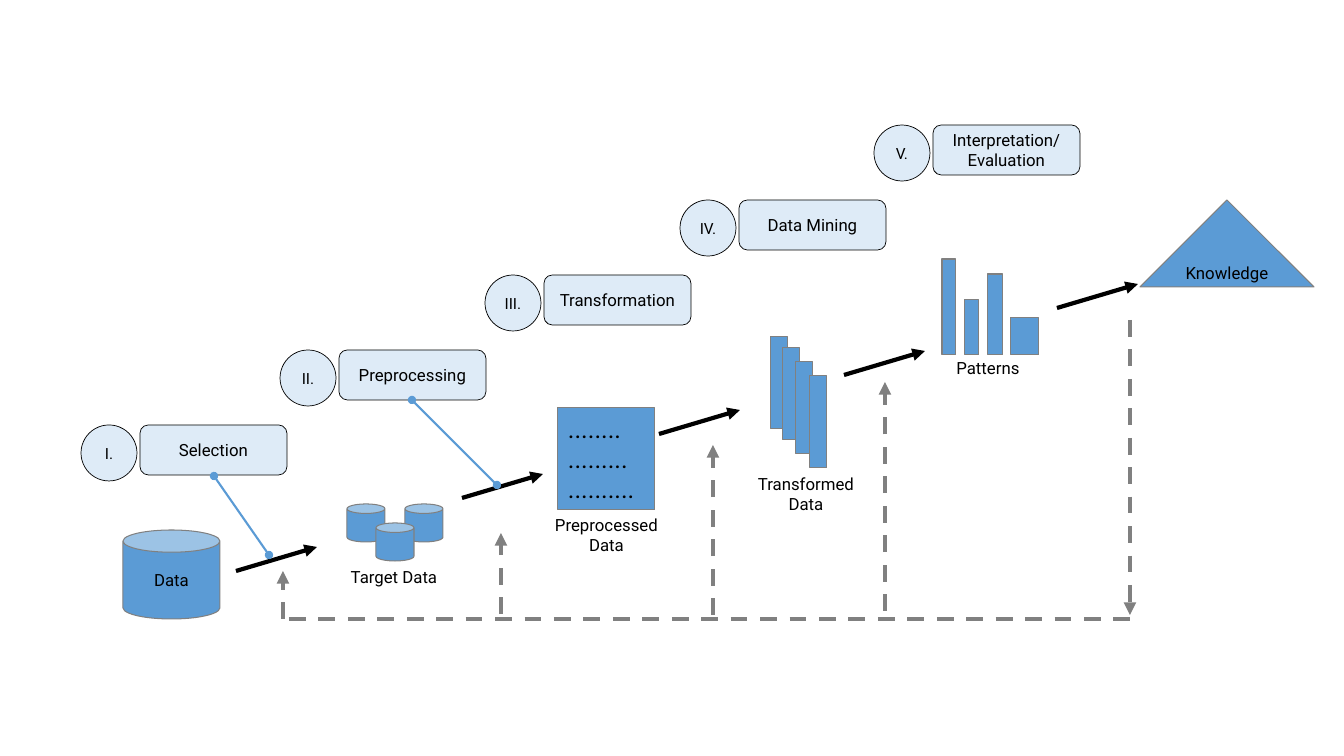
from dataclasses import dataclass
from pptx import Presentation
from pptx.dml.color import RGBColor as Color
from pptx.enum.dml import MSO_LINE_DASH_STYLE as Dash
from pptx.enum.shapes import MSO_CONNECTOR_TYPE as Link, MSO_SHAPE as Kind
from pptx.enum.text import MSO_ANCHOR as Anchor, MSO_AUTO_SIZE as Fit, PP_ALIGN as Align
from pptx.oxml.ns import qn
from pptx.util import Pt
from lxml.etree import SubElement as Sub


@dataclass(frozen=True)
class Theme:
    font: str = "Roboto"
    blue: str = "5B9BD5"
    pale: str = "DEEBF7"
    gray: str = "808080"
    ink: str = "000000"
    body: int = 12
    mark: int = 11
    dots: int = 18


THEME = Theme()


def px(num):
    return round(num * 914400 / 100.8)


def write(shape, text, size=THEME.body, align=Align.CENTER, anchor=Anchor.MIDDLE, pad=(0, 0), fit=Fit.NONE):
    frame = shape.text_frame
    frame.word_wrap = True
    frame.auto_size = fit
    frame.vertical_anchor = anchor
    frame.margin_left = frame.margin_right = px(pad[0])
    frame.margin_top = frame.margin_bottom = px(pad[1])
    for i, line in enumerate(text.split("\n")):
        para = frame.paragraphs[0] if i == 0 else frame.add_paragraph()
        para.alignment = align
        run = para.add_run()
        run.text = line
        run.font.name = THEME.font
        run.font.size = Pt(size)
        run.font.color.rgb = Color.from_string(THEME.ink)


class Page:
    def __init__(self, slide, theme):
        self.slide = slide
        self.theme = theme

    def stroke(self, line, color, width):
        line.color.rgb = Color.from_string(color)
        line.width = Pt(width)

    def shape(self, kind, x, y, w, h, text="", pale=False, **form):
        item = self.slide.shapes.add_shape(kind, px(x), px(y), px(w), px(h))
        item.shadow.inherit = False
        item.fill.solid()
        item.fill.fore_color.rgb = Color.from_string(self.theme.pale if pale else self.theme.blue)
        if pale:
            self.stroke(item.line, self.theme.ink, 0.5)
        else:
            self.stroke(item.line, self.theme.gray, 0.75)
        if text:
            write(item, text, **form)
        return item

    def group(self, kind, boxes):
        self.slide.shapes.add_group_shape([self.shape(kind, *box) for box in boxes])

    def label(self, text, x, y, w, h):
        box = self.slide.shapes.add_textbox(px(x), px(y), px(w), px(h))
        write(box, text, anchor=Anchor.TOP, fit=Fit.SHAPE_TO_FIT_TEXT)

    def line(self, x, y, to_x, to_y, color, width=3, dash=False, head=None, tail=None):
        link = self.slide.shapes.add_connector(Link.STRAIGHT, px(x), px(y), px(to_x), px(to_y))
        self.stroke(link.line, color, width)
        if dash:
            link.line.dash_style = Dash.DASH
        props = link._element.spPr
        for tag, end in (("a:headEnd", head), ("a:tailEnd", tail)):
            if end:
                Sub(props.find(qn("a:ln")), qn(tag), type=end)
        Sub(props, qn("a:effectLst"))


deck = Presentation()
deck.slide_width, deck.slide_height = px(1344), px(756)
page = Page(deck.slides.add_slide(deck.slide_layouts[6]), THEME)

page.shape(Kind.CAN, 123, 530, 97, 89, "Data", pad=(10, 0))
page.group(Kind.CAN, [(x, y, 38, 38) for x, y in ((347, 504), (405, 504), (376, 523))])

STEPS = [
    ("I.", "Selection", 140),
    ("II.", "Preprocessing", 339),
    ("III.", "Transformation", 544),
    ("IV.", "Data Mining", 739),
    ("V.", "Interpretation/\nEvaluation", 933),
]
for i, (mark, name, x) in enumerate(STEPS):
    y = 425 - 75 * i
    page.shape(Kind.FLOWCHART_ALTERNATE_PROCESS, x, y, 147, 50, name, pale=True)
    page.shape(Kind.OVAL, x - 59, y, 56, 56, mark, pale=True, size=THEME.mark)

rows = "\n".join("." * num for num in (8, 9, 10))
page.shape(Kind.RECTANGLE, 558, 408, 97, 102, rows, size=THEME.dots,
           align=Align.LEFT, anchor=Anchor.TOP, pad=(10, 5))

SHEETS = [(771, 337), (783, 348), (796, 362), (810, 376)]
page.group(Kind.RECTANGLE, [(x, y, 17, 92) for x, y in SHEETS])

BARS = [(942, 14, 96), (965, 14, 55), (988, 15, 81), (1011, 28, 37)]
page.group(Kind.RECTANGLE, [(x, 355 - h, w, h) for x, w, h in BARS])

page.line(289, 619, 1132, 619, THEME.gray, dash=True)
LOOPS = [(283, 619, 571), (501, 614, 533), (713, 615, 445), (885, 611, 382), (1130, 320, 615)]
for x, y, end in LOOPS:
    page.line(x, y, x, end, THEME.gray, dash=True, tail="triangle")

page.shape(Kind.ISOSCELES_TRIANGLE, 1140, 200, 174, 87)

LABELS = [
    ("Target Data", 330, 567, 128, 20),
    ("Patterns", 943, 358, 90, 20),
    ("Transformed\nData", 742, 474, 128, 40),
    ("Preprocessed Data", 549, 515, 115, 40),
    ("Knowledge", 1170, 263, 114, 20),
]
for spot in LABELS:
    page.label(*spot)

for x, y in ((236, 571), (462, 498), (659, 434), (844, 375), (1057, 308)):
    page.line(x, y, x + 81, y - 24, THEME.ink, tail="triangle")

for ends in ((214, 476, 269, 555), (412, 400, 497, 485)):
    page.line(*ends, THEME.blue, width=1.5, head="oval", tail="oval")

deck.save("out.pptx")
